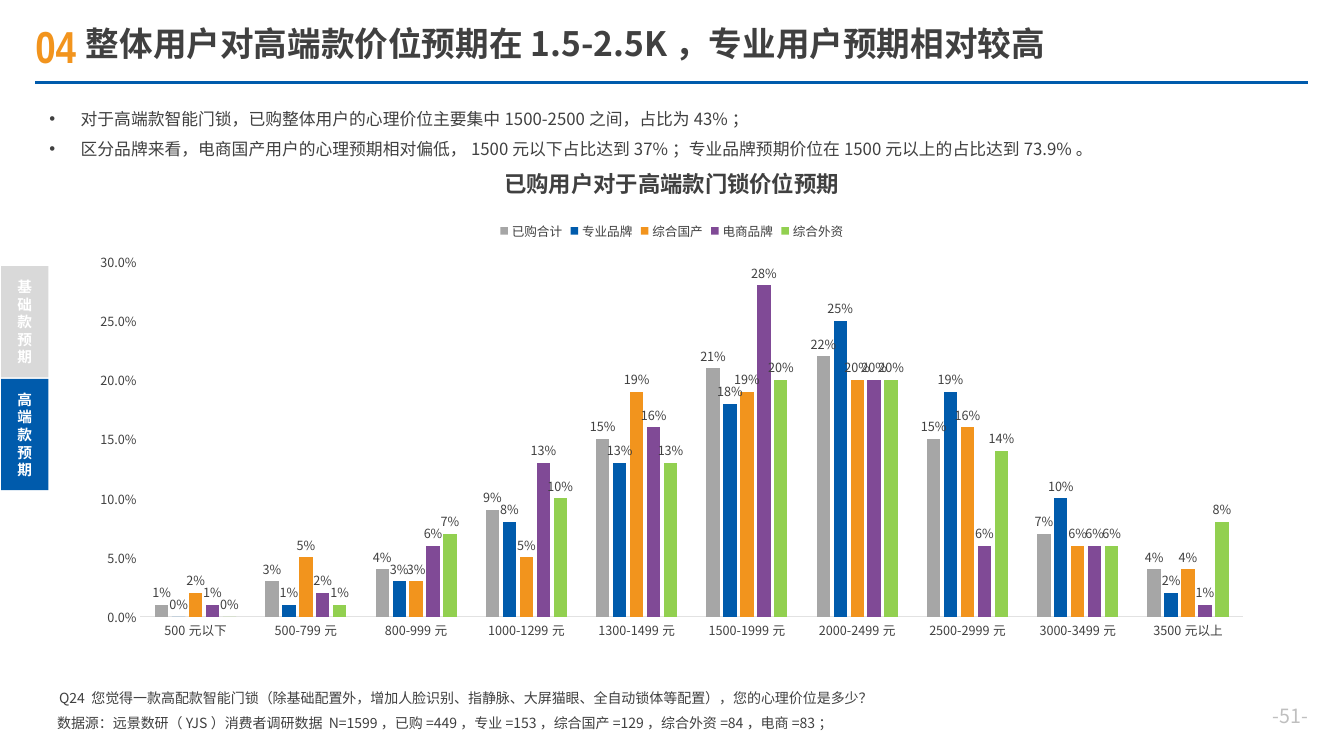
from pptx import Presentation
from pptx.chart.data import CategoryChartData
from pptx.dml.color import RGBColor
from pptx.enum.chart import XL_CHART_TYPE as CT, XL_LABEL_POSITION as LP
from pptx.enum.chart import XL_LEGEND_POSITION as LEG, XL_TICK_MARK as TICK
from pptx.enum.shapes import MSO_CONNECTOR, MSO_SHAPE
from pptx.enum.text import MSO_ANCHOR as ANC, MSO_AUTO_SIZE as FIT, PP_ALIGN as AL
from pptx.oxml import parse_xml
from pptx.oxml.ns import nsdecls
from pptx.util import Cm, Pt

FONT = "Noto Sans CJK SC"
COLORS = {
    "text": "404040", "blue": "005BAC", "orange": "F2941D", "gray": "A6A6A6",
    "purple": "804A96", "green": "92D050", "tab": "D9D9D9", "white": "FFFFFF",
    "page": "BFBFBF", "axis": "E2E2E2",
}
CATEGORIES = [
    "500元以下", "500-799元", "800-999元", "1000-1299元", "1300-1499元",
    "1500-1999元", "2000-2499元", "2500-2999元", "3000-3499元", "3500元以上",
]
SERIES = [
    ("已购合计", "gray", (0.01, 0.03, 0.04, 0.09, 0.15, 0.21, 0.22, 0.15, 0.07, 0.04)),
    ("专业品牌", "blue", (0, 0.01, 0.03, 0.08, 0.13, 0.18, 0.25, 0.19, 0.1, 0.02)),
    ("综合国产", "orange", (0.02, 0.05, 0.03, 0.05, 0.19, 0.19, 0.2, 0.16, 0.06, 0.04)),
    ("电商品牌", "purple", (0.01, 0.02, 0.06, 0.13, 0.16, 0.28, 0.2, 0.06, 0.06, 0.01)),
    ("综合外资", "green", (0, 0.01, 0.07, 0.1, 0.13, 0.2, 0.2, 0.14, 0.06, 0.08)),
]
BULLETS = [
    "对于高端款智能门锁，已购整体用户的心理价位主要集中1500-2500之间，占比为43%；",
    "区分品牌来看，电商国产用户的心理预期相对偏低，1500元以下占比达到37%；专业品牌预期价位在1500元以上的占比达到73.9%。",
]


def rgb(name):
    return RGBColor.from_string(COLORS[name])


def set_font(font, size, color="text", bold=False, name=FONT):
    font.size, font.bold, font.name = Pt(size), bold, name
    font.color.rgb = rgb(color)
    latin = font._rPr.find("{*}latin")
    latin.addnext(parse_xml(f'<a:ea {nsdecls("a")} typeface="{name}"/>'))


def write(tf, text, size=10, color="text", bold=False, name=FONT, align=AL.LEFT,
          anchor=ANC.TOP, spacing=None, wrap=True, first=True):
    tf.word_wrap, tf.vertical_anchor, tf.auto_size = wrap, anchor, FIT.NONE
    p = tf.paragraphs[0] if first else tf.add_paragraph()
    p.alignment = align
    if spacing:
        p.line_spacing = spacing
    r = p.add_run()
    r.text = text
    set_font(r.font, size, color, bold, name)
    return p


def place(sp, x, y, w, h):
    sp.left, sp.top, sp.width, sp.height = Cm(x), Cm(y), Cm(w), Cm(h)


def add_text(slide, text, x, y, w, h, **fmt):
    sp = slide.shapes.add_textbox(Cm(x), Cm(y), Cm(w), Cm(h))
    write(sp.text_frame, text, **fmt)


def add_rule(slide, x1, x2, y):
    line = slide.shapes.add_connector(MSO_CONNECTOR.STRAIGHT, Cm(x1), Cm(y), Cm(x2), Cm(y))
    line.line.color.rgb, line.line.width = rgb("blue"), Pt(2.25)
    line._element.spPr.append(parse_xml(f'<a:effectLst {nsdecls("a")}/>'))


def add_tab(slide, text, y, fill):
    sp = slide.shapes.add_shape(MSO_SHAPE.RECTANGLE, Cm(0.03), Cm(y), Cm(1.19), Cm(2.8))
    sp.shadow.inherit = False
    sp.fill.solid()
    sp.fill.fore_color.rgb = rgb(fill)
    sp.line.fill.background()
    write(sp.text_frame, text, size=10.5, color="white", bold=True,
          align=AL.CENTER, anchor=ANC.MIDDLE)


def add_bullets(sp):
    for i, text in enumerate(BULLETS):
        p = write(sp.text_frame, text, size=12, spacing=1.5, first=i == 0)
        p.space_before = Pt(0)
        pPr = p._p.get_or_add_pPr()
        pPr.set("marL", str(Cm(0.79)))
        pPr.set("indent", str(Cm(-0.79)))


def add_price_chart(slide, x, y, w, h):
    data = CategoryChartData(number_format="0%")
    data.categories = CATEGORIES
    for name, _, values in SERIES:
        data.add_series(name, values)
    chart = slide.shapes.add_chart(
        CT.COLUMN_CLUSTERED, Cm(x), Cm(y), Cm(w), Cm(h), data).chart
    set_font(chart.font, 9)
    chart.has_title = False
    chart.has_legend = True
    chart.legend.position = LEG.TOP
    chart.legend.include_in_layout = False
    set_font(chart.legend.font, 9)

    for axis in (chart.category_axis, chart.value_axis):
        axis.major_tick_mark = axis.minor_tick_mark = TICK.NONE
        axis.has_major_gridlines = False
        set_font(axis.tick_labels.font, 9)
    chart.category_axis.format.line.color.rgb = rgb("axis")
    chart.category_axis.format.line.width = Pt(0.75)
    values = chart.value_axis
    values.format.line.fill.background()
    values.minimum_scale, values.maximum_scale, values.major_unit = 0, 0.3, 0.05
    values.tick_labels.number_format = "0.0%"
    values.tick_labels.number_format_is_linked = False

    plot = chart.plots[0]
    plot.gap_width, plot.overlap, plot.vary_by_categories = 219, -27, False
    for series, (_, color, _) in zip(plot.series, SERIES):
        series.format.fill.solid()
        series.format.fill.fore_color.rgb = rgb(color)
        labels = series.data_labels
        labels.show_value, labels.position = True, LP.OUTSIDE_END
        labels.number_format, labels.number_format_is_linked = "0%", False
        set_font(labels.font, 9)


def main():
    prs = Presentation()
    prs.slide_width, prs.slide_height = Cm(33.87), Cm(19.05)
    slide = prs.slides.add_slide(prs.slide_layouts[1])
    title, body = slide.placeholders
    add_rule(slide, 0.89, 32.97, 2.08)
    add_text(slide, "04", 0.64, 0.33, 1.57, 1.63, size=32, color="orange", bold=True,
             name="Arial Narrow", anchor=ANC.MIDDLE, wrap=False)
    place(title, 1.91, 0.61, 26.34, 1.09)
    write(title.text_frame, "整体用户对高端款价位预期在1.5-2.5K，专业用户预期相对较高",
          size=24, bold=True, anchor=ANC.MIDDLE, spacing=0.9)
    place(body, 0.99, 2.36, 29.72, 1.7)
    add_bullets(body)
    add_text(slide, "已购用户对于高端款门锁价位预期", 8.61, 4.17, 16.64, 0.94,
             size=16, bold=True, align=AL.CENTER)
    add_price_chart(slide, 1.93, 5.31, 30, 11)
    add_tab(slide, "基础款预期", 6.71, "tab")
    add_tab(slide, "高端款预期", 9.55, "blue")
    add_text(slide, "Q24 您觉得一款高配款智能门锁（除基础配置外，增加人脸识别、指静脉、大屏猫眼、"
             "全自动锁体等配置），您的心理价位是多少？", 1.24, 17.25, 31.01, 0.69)
    add_text(slide, "数据源：远景数研（YJS）消费者调研数据 N=1599，已购=449，专业=153，"
             "综合国产=129，综合外资=84，电商=83；", 1.19, 17.88, 23.5, 0.69)
    add_text(slide, "-51-", 25.6, 17.53, 7.62, 1.02, size=14, color="page",
             align=AL.RIGHT, anchor=ANC.MIDDLE)
    prs.save("out.pptx")


if __name__ == "__main__":
    main()
